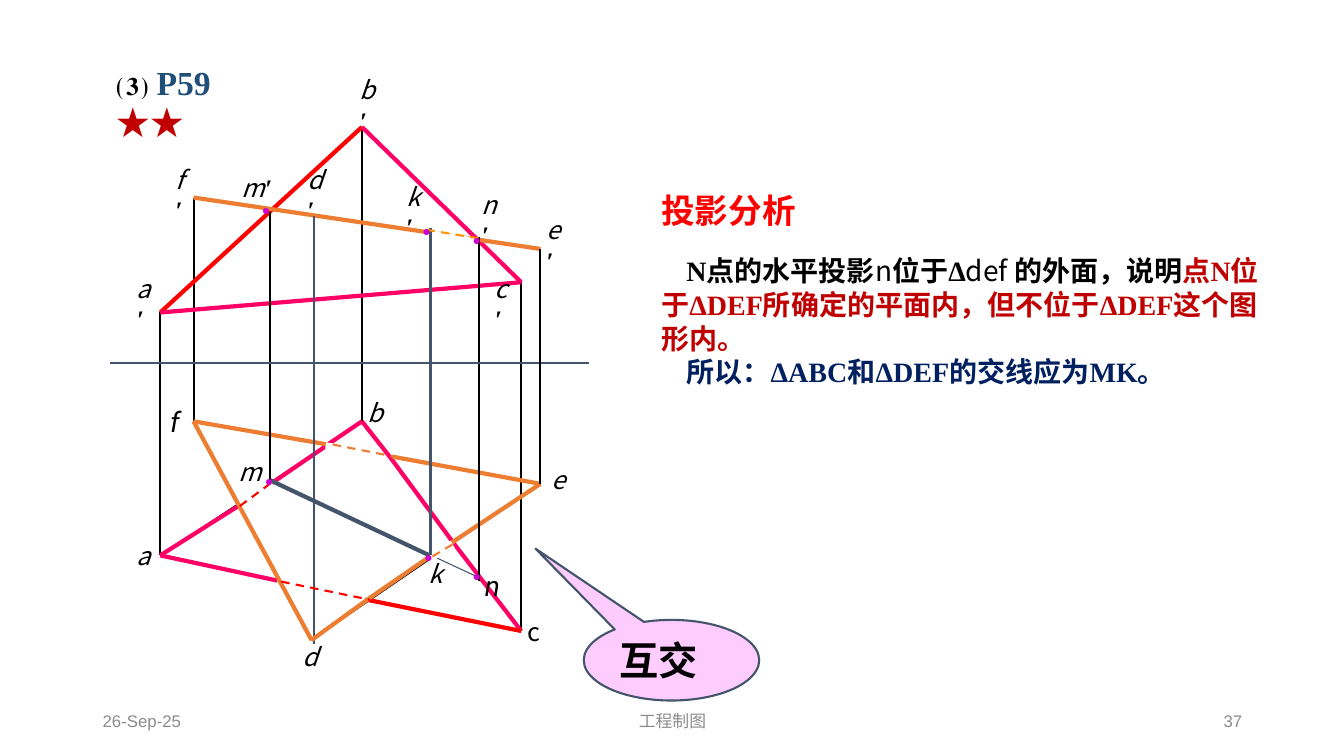
from lxml import etree
from pptx import Presentation
from pptx.dml.color import RGBColor
from pptx.enum import dml, shapes, text
from pptx.oxml.ns import qn
from pptx.util import Inches, Pt

BLACK, WHITE = RGBColor(0, 0, 0), RGBColor(255, 255, 255)
GRAY, SLATE = RGBColor(0x8C, 0x8C, 0x8C), RGBColor(0x44, 0x54, 0x6A)
RED, PINK = RGBColor(0xFF, 0, 0), RGBColor(0xFF, 0, 0x66)
ORANGE, AMBER = RGBColor(0xED, 0x7D, 0x31), RGBColor(0xFF, 0x93, 0)
DARK_RED, NAVY = RGBColor(0xC0, 0, 0), RGBColor(0, 0x20, 0x60)
BLUE, PURPLE = RGBColor(0x1F, 0x4E, 0x79), RGBColor(0xCC, 0, 0xCC)
PALE_PINK = RGBColor(0xFF, 0xCC, 0xFF)
SERIF, SANS = "Times New Roman", "Noto Sans CJK SC"

LETTER = dict(name=SANS, size=Pt(18), italic=True, bold=False, color=BLACK)
PRIME = dict(LETTER, name=SERIF, bold=True)
DOT = dict(LETTER, name=SERIF, size=Pt(10), color=PURPLE)
HEADING = dict(name=SERIF, size=Pt(24), bold=True, color=RED)
BODY = dict(HEADING, size=Pt(20), color=BLACK)
SYMBOL = dict(BODY, name=SANS, bold=False)
FOOTER = dict(name="Arial", size=Pt(12), color=GRAY)

A1, B1, C1 = (0.59, 3.1), (2.59, 1.26), (4.17, 2.8)
F1, E1 = (0.92, 1.96), (4.36, 2.47)
A, B, C = (0.59, 5.51), (2.59, 4.18), (4.17, 6.26)
D, E, F = (2.09, 6.35), (4.36, 4.8), (0.92, 4.18)
M, K, N = (1.67, 4.76), (3.26, 5.51), (3.75, 5.73)
AB_DE, BC_DE, BC_EF = (1.38, 5.01), (3.5, 5.39), (2.88, 4.55)

STROKES = [
    (BLACK, 0.75, False, [(A, B), (B, C), (A, C), (D, E), (E, F), (F, D)]),
    (BLACK, 1.5, False, [(A1, A), (B1, B), (C1, C), (F1, F)]),
    (RED, 3, False, [(A1, B1)]),
    (PINK, 3, False, [(B1, C1), (A1, C1), (B, (2.25, 4.41)), (C, BC_DE),
                      (A, (1.75, 5.76)), (BC_EF, BC_DE), ((2.27, 4.4), (1.7, 4.79))]),
    (SLATE, 0.75, False, [(M, N)]),
    (ORANGE, 3, False, [(F1, E1), (E, (3.47, 5.39)), (F, (2.25, 4.41)), (E, (2.89, 4.53))]),
    (RED, 3, False, [(C, (2.64, 5.95))]),
    (WHITE, 4.5, False, [((1.75, 5.76), (2.62, 5.95)), ((2.23, 4.42), (2.86, 4.52)),
                         ((1.34, 5.01), (1.67, 4.8))]),
    (WHITE, 6, False, [((3.49, 5.4), (3.25, 5.54))]),
    (SLATE, 3, False, [(M, K)]),
    (SLATE, 1.5, False, [((2.11, 6.39), (2.11, 2.14))]),
    (BLACK, 1.5, False, [((1.68, 4.76), (1.68, 2.1)), ((3.75, 5.76), (3.75, 2.35))]),
    (WHITE, 4.5, False, [((3.24, 2.31), (3.71, 2.39))]),
    (SLATE, 1.5, False, [((3.27, 5.51), (3.27, 2.26)), ((0.09, 3.6), (4.84, 3.6))]),
    (PINK, 3, False, [(B, BC_EF), (A, AB_DE)]),
    (ORANGE, 3, False, [(F, D), (D, (2.67, 5.93)), ((2.67, 5.93), (3.25, 5.53))]),
    (ORANGE, 1.5, True, [((2.3, 4.41), (2.91, 4.53)), ((3.29, 5.52), (3.49, 5.4))]),
    (RED, 1.5, True, [((1.79, 5.77), (2.67, 5.95)), ((1.38, 5.02), (1.69, 4.79))]),
    (AMBER, 1.5, True, [((3.23, 2.28), (3.78, 2.37))]),
    (BLACK, 1.5, False, [(E1, E)]),
]
FRONT_LETTERS = [("a", 0.26, 2.81), ("b", 2.47, 0.84), ("c", 3.81, 2.81),
                 ("d", 1.95, 1.73), ("e", 4.32, 2.23), ("f", 0.64, 1.73),
                 ("k", 2.93, 1.9), ("n", 3.68, 1.98)]
TOP_LETTERS = [("a", 0.26, 5.31, {}), ("b", 2.55, 3.89, {}),
               ("c", 4.13, 6.06, dict(italic=False)), ("d", 1.9, 6.31, {}),
               ("e", 4.37, 4.56, {}), ("k", 3.15, 5.49, {}), ("m", 1.27, 4.48, {}),
               ("f", 0.59, 3.98, dict(name="Roboto", size=Pt(20))),
               ("n", 3.71, 5.61, dict(name="Roboto", size=Pt(20)))]
DOTS = [(3.59, 5.58), (3.59, 2.25), (1.5, 1.95), (3.11, 5.39), (1.53, 4.64), (3.09, 2.16)]


def add_runs(paragraph, runs):
    """Append (wording, format) runs to a paragraph."""
    for wording, style in runs:
        run = paragraph.add_run()
        run.text = wording
        for attribute, value in style.items():
            if attribute == "color":
                run.font.color.rgb = value
            else:
                setattr(run.font, attribute, value)
        east_asian = etree.SubElement(run.font._element, qn("a:ea"))
        east_asian.set("typeface", SANS)


def write(slide, box, *paragraphs, align=text.PP_ALIGN.LEFT, **frame_format):
    """Add a middle-anchored text box and return its frame."""
    frame = slide.shapes.add_textbox(*map(Inches, box)).text_frame
    settings = dict(word_wrap=True, vertical_anchor=text.MSO_ANCHOR.MIDDLE,
                    auto_size=text.MSO_AUTO_SIZE.SHAPE_TO_FIT_TEXT)
    for attribute, value in {**settings, **frame_format}.items():
        setattr(frame, attribute, value)
    for index, runs in enumerate(paragraphs):
        paragraph = frame.add_paragraph() if index else frame.paragraphs[0]
        paragraph.alignment = align
        add_runs(paragraph, runs)
    return frame


def draw_projection(slide, left, top):
    """Draw both views of the two triangles with their lettering."""
    for color, weight, dashed, segments in STROKES:
        for (x1, y1), (x2, y2) in segments:
            edge = slide.shapes.add_connector(
                shapes.MSO_CONNECTOR.STRAIGHT, Inches(left + x1), Inches(top + y1),
                Inches(left + x2), Inches(top + y2))
            edge.line.color.rgb = color
            edge.line.width = Pt(weight)
            if dashed:
                edge.line.dash_style = dml.MSO_LINE.DASH
            etree.SubElement(edge._element.spPr, qn("a:effectLst"))
    for letter, x, y in FRONT_LETTERS:
        write(slide, (left + x, top + y, 0.39, 0.4),
              [(letter, LETTER), ("′", PRIME)], margin_right=Inches(0.2))
    write(slide, (left + 1.3, top + 1.66, 0.67, 0.4), [("m", LETTER), ("′", PRIME)])
    for letter, x, y, changes in TOP_LETTERS:
        write(slide, (left + x, top + y, 0.4, 0.4), [(letter, {**LETTER, **changes})])
    for x, y in DOTS:
        write(slide, (left + x, top + y, 0.34, 0.27), [("●", DOT)])


def write_title(slide, left, top, width):
    """Write the problem number, page and difficulty stars."""
    write(slide, (left, top, width, 0.5),
          [("⑶ ", dict(HEADING, color=BLACK)), ("P59", dict(HEADING, color=BLUE)),
           (" ★★", dict(HEADING, name=SANS, color=DARK_RED, bold=False))])


def write_analysis(slide, left, top, width):
    """Write the heading and the two paragraphs of reasoning."""
    write(slide, (left, top, 1.55, 0.5), [("投影分析", HEADING)])
    reasoning = write(
        slide, (left, top + 0.63, width, 1.45),
        [("N点的水平投影", BODY), ("n", SYMBOL), ("位于Δ", BODY), ("def ", SYMBOL),
         ("的外面，说明", BODY),
         ("点N位于ΔDEF所确定的平面内，但不位于ΔDEF这个图形内。", dict(BODY, color=DARK_RED))],
        [("所以：ΔABC和ΔDEF的交线应为MK。", dict(BODY, color=NAVY))])
    for paragraph in reasoning.paragraphs:
        paragraph._p.get_or_add_pPr().set("indent", str(Inches(0.25)))


def draw_callout(slide, left, top, width, height):
    """Draw the balloon that names the kind of intersection."""
    balloon = slide.shapes.add_shape(shapes.MSO_SHAPE.OVAL_CALLOUT,
                                     *map(Inches, (left, top, width, height)))
    balloon.adjustments[0], balloon.adjustments[1] = -0.775, -1.383
    balloon.shadow.inherit = False
    balloon.fill.solid()
    balloon.fill.fore_color.rgb = PALE_PINK
    balloon.line.color.rgb = SLATE
    balloon.line.width = Pt(1.5)
    balloon.text_frame.vertical_anchor = text.MSO_ANCHOR.MIDDLE
    verdict = balloon.text_frame.paragraphs[0]
    verdict.alignment = text.PP_ALIGN.LEFT
    add_runs(verdict, [("互交", dict(BODY, size=Pt(28)))])


def write_footer(slide, left, top, height):
    """Write the date, course name and page number."""
    for wording, x, width, align in [("26-Sep-25", 0, 3, text.PP_ALIGN.LEFT),
                                     ("工程制图", 3.5, 4.5, text.PP_ALIGN.CENTER),
                                     ("37", 8.5, 3, text.PP_ALIGN.RIGHT)]:
        write(slide, (left + x, top, width, height), [(wording, FOOTER)],
              align=align, auto_size=text.MSO_AUTO_SIZE.NONE)


def main():
    """Build and save the slide."""
    deck = Presentation()
    deck.slide_width, deck.slide_height = Inches(13.33), Inches(7.5)
    slide = deck.slides.add_slide(deck.slide_layouts[6])
    write_footer(slide, 0.92, 6.95, 0.4)
    draw_projection(slide, 1, 0)
    write_title(slide, 1.06, 0.76, 1.84)
    write_analysis(slide, 6.46, 1.83, 6.2)
    draw_callout(slide, 5.79, 6.15, 1.74, 0.8)
    deck.save("out.pptx")


if __name__ == "__main__":
    main()
